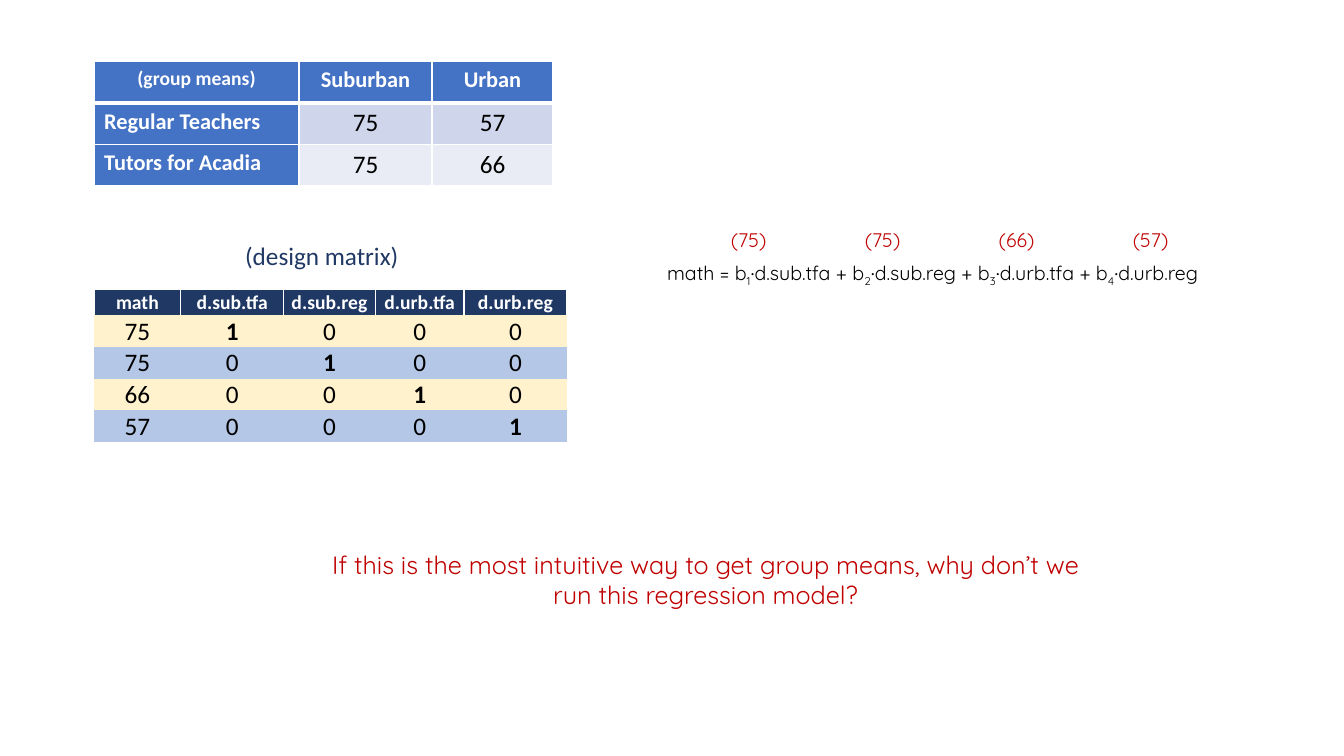
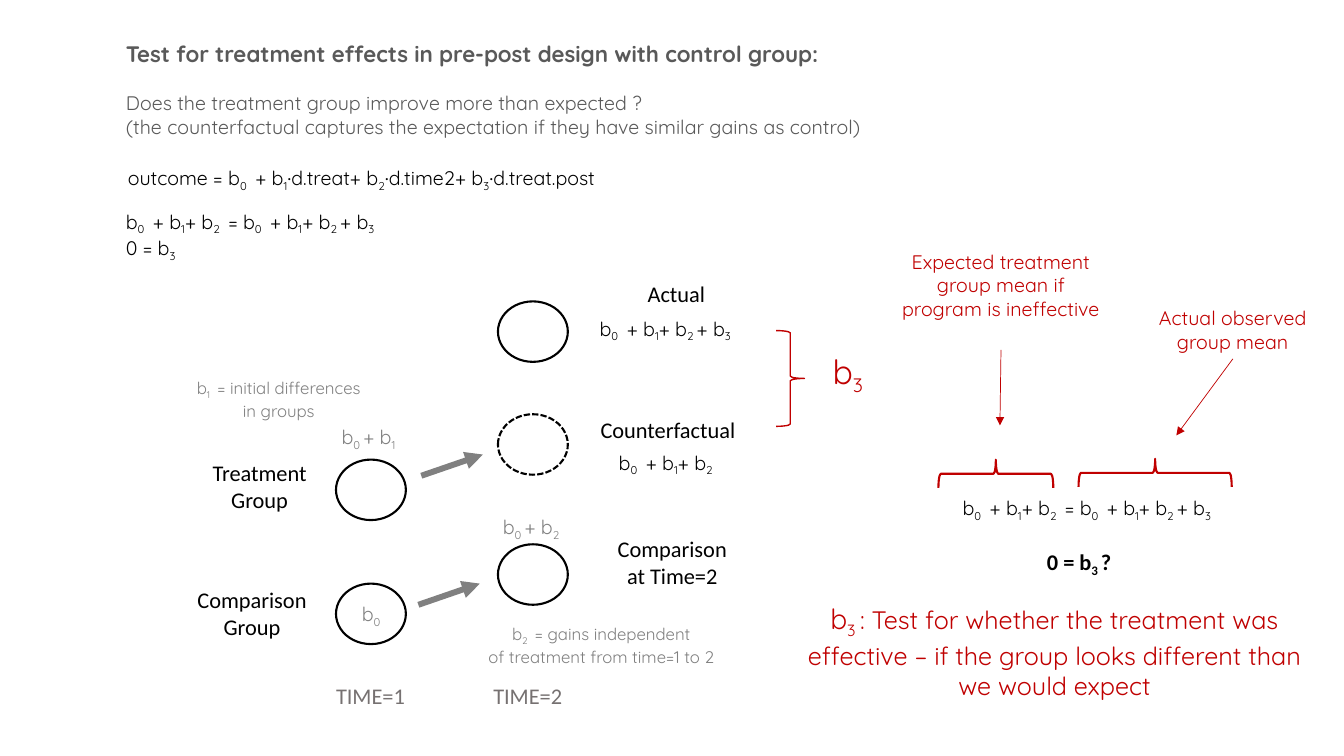
from lxml.etree import SubElement
from pptx import Presentation
from pptx.dml.color import RGBColor
from pptx.enum.dml import MSO_LINE
from pptx.enum.shapes import MSO_CONNECTOR, MSO_SHAPE
from pptx.enum.text import MSO_ANCHOR, MSO_AUTO_SIZE, PP_ALIGN
from pptx.oxml.ns import qn
from pptx.util import Inches, Pt

WIDTH, HEIGHT = Inches(13.333), Inches(7.5)
COLORS = {
    "ink": "000000", "white": "FFFFFF", "red": "C00000", "navy": "203864",
    "blue": "4472C4", "band_dark": "CFD5EA", "band_light": "E9EBF5",
    "cream": "FFF2CC", "sky": "B4C7E7", "heading": "595959",
    "gray": "808080", "time": "767171",
}
BODY, LABEL = "Quicksand", "Calibri"
CENTER, LEFT = PP_ALIGN.CENTER, PP_ALIGN.LEFT
PLAIN_TABLE = "{2D5ABB26-0587-4C30-8999-92F81FD0307C}"
LINE_H, LABEL_H = 4.53, 4.93  # heights of one line of text, in percent


def rgb(name):
    """Return the named colour."""
    return RGBColor.from_string(COLORS[name])


def across(share):
    """Turn a percentage of the slide's width into a length."""
    return round(WIDTH * share / 100)


def down(share):
    """Turn a percentage of the slide's height into a length."""
    return round(HEIGHT * share / 100)


def place(left, top, width, height):
    """Turn four percentages into left, top, width and height."""
    return across(left), down(top), across(width), down(height)


def add_runs(paragraph, text, size=14, font=BODY, color="ink", bold=False):
    """Add text in which [brackets] enclose subscripts."""
    for chunk in text.split("["):
        subscript, closed, normal = chunk.partition("]")
        parts = [(subscript, True), (normal, False)] if closed else [(chunk, False)]
        for words, lowered in parts:
            if not words:
                continue
            run = paragraph.add_run()
            run.text = words
            run.font.size, run.font.name, run.font.bold = Pt(size), font, bold
            run.font.color.rgb = rgb(color)
            if lowered:
                run.font._element.set("baseline", "-25000")


def write(frame, paragraphs, align=LEFT, **look):
    """Fill a text frame; a paragraph is a string or a list of (text, look)."""
    if isinstance(paragraphs, str):
        paragraphs = paragraphs.split("\n")
    for index, content in enumerate(paragraphs):
        paragraph = frame.add_paragraph() if index else frame.paragraphs[0]
        paragraph.alignment = align
        for words, changes in [(content, {})] if isinstance(content, str) else content:
            own = {**look, **changes}
            before = own.pop("before", 0)
            if before:
                paragraph.space_before = Pt(before)
            add_runs(paragraph, words, **own)


def add_text(slide, paragraphs, at, wrap=False, **look):
    """Add a text box that grows with its text."""
    frame = slide.shapes.add_textbox(*place(*at)).text_frame
    frame.word_wrap = wrap
    frame.auto_size = MSO_AUTO_SIZE.SHAPE_TO_FIT_TEXT
    write(frame, paragraphs, **look)


def add_label(slide, words, at, color="ink"):
    """Add a centred diagram label."""
    add_text(slide, words, at, size=16, font=LABEL, color=color, align=CENTER)


def add_outline(slide, kind, at, color="ink", weight=1.5, dash=None, rotation=0):
    """Add an unfilled preset shape."""
    outline = slide.shapes.add_shape(kind, *place(*at))
    outline.shadow.inherit = False
    outline.fill.background()
    outline.line.color.rgb = rgb(color)
    outline.line.width = Pt(weight)
    outline.rotation = rotation
    if dash:
        outline.line.dash_style = dash


def add_arrow(slide, start, end, color, weight):
    """Add a straight arrow between two points."""
    arrow = slide.shapes.add_connector(
        MSO_CONNECTOR.STRAIGHT, across(start[0]), down(start[1]),
        across(end[0]), down(end[1]))
    arrow.line.color.rgb = rgb(color)
    arrow.line.width = Pt(weight)
    SubElement(arrow.line._get_or_add_ln(), qn("a:tailEnd"), type="triangle")
    SubElement(arrow._element.spPr, qn("a:effectLst"))


def add_borders(cell, weights):
    """Draw white borders; weights maps a side (L, R, T, B) to points."""
    properties = cell._tc.get_or_add_tcPr()
    for side in "LRTB":
        if side in weights:
            border = SubElement(properties, qn(f"a:ln{side}"), w=str(Pt(weights[side])))
            fill = SubElement(border, qn("a:solidFill"))
            SubElement(fill, qn("a:srgbClr"), val=COLORS["white"])


def add_table(slide, rows, corner, widths, heights, style, tight=False):
    """Add a table; style(row, column) gives fill, borders and text look."""
    at = (*corner, sum(widths), sum(heights))
    table = slide.shapes.add_table(len(rows), len(widths), *place(*at)).table
    table._tbl.tblPr.find(qn("a:tableStyleId")).text = PLAIN_TABLE
    for column, width in zip(table.columns, widths):
        column.width = across(width)
    for r, (row, height) in enumerate(zip(rows, heights)):
        table.rows[r].height = down(height)
        for c, words in enumerate(row):
            cell = table.cell(r, c)
            look = style(r, c)
            add_borders(cell, look.pop("borders"))
            cell.fill.solid()
            cell.fill.fore_color.rgb = rgb(look.pop("fill"))
            if tight:
                cell.vertical_anchor = MSO_ANCHOR.BOTTOM
                cell.margin_left = cell.margin_right = cell.margin_top = Inches(0.01)
                cell.margin_bottom = 0
            write(cell.text_frame, words, font=LABEL, **look)


def group_means_style(r, c):
    """Style the group means: blue header row and column, banded body."""
    borders = dict(L=1, R=1, T=3 if r == 1 else 1, B=1 if r else 3)
    if r and c:
        return dict(fill="band_dark" if r == 1 else "band_light", borders=borders,
                    size=18, align=CENTER)
    return dict(fill="blue", borders=borders, size=16 if r or c else 14,
                color="white", bold=True, align=LEFT if r else CENTER)


def design_matrix_style(r, c):
    """Style the design matrix: navy header, striped rows, bold diagonal."""
    if r == 0:
        return dict(fill="navy", borders=dict(L=1, R=1, T=1), size=14,
                    color="white", bold=True, align=CENTER)
    return dict(fill="cream" if r % 2 else "sky", borders={}, size=18,
                bold=r == c, align=CENTER)


def build_group_means(slide):
    """Build the slide on group means and their design matrix."""
    groups = ["sub.tfa", "sub.reg", "urb.tfa", "urb.reg"]
    means = ["75", "75", "66", "57"]
    header = ["math"] + [f"d.{group}" for group in groups]
    dummies = [[mean] + ["1" if i == j else "0" for j in range(len(groups))]
               for i, mean in enumerate(means)]
    add_table(slide, [header] + dummies, (7, 38.27), [6.45, 7.65, 6.83, 6.6, 7.65],
              [3.4] + [4.13] * len(means), design_matrix_style, tight=True)
    terms = [f"b[{i}]∙d.{group}" for i, group in enumerate(groups, 1)]
    add_text(slide, "math = " + " + ".join(terms), (48.9, 33.87, 45.5, LINE_H))
    add_text(slide, "If this is the most intuitive way to get group means, "
             "why don’t we run this regression model?", (23.1, 72, 58.8, 9.47),
             wrap=True, size=18, color="red", align=CENTER)
    add_text(slide, "(design matrix)", (17.5, 31.07, 13.05, 5.33),
             size=18, font=LABEL, color="navy")
    for i, mean in enumerate(means):
        add_text(slide, f"({mean})", (52.5 + 9.97 * i, 29.5, 6.4, LINE_H),
                 wrap=True, color="red", align=CENTER)
    add_table(slide, [["(group means)", "Suburban", "Urban"],
                      ["Regular Teachers", "75", "57"],
                      ["Tutors for Acadia", "75", "66"]],
              (7, 8.13), [15.25, 9.9, 9], [5.47] * 3, group_means_style)


def build_treatment_test(slide):
    """Build the slide on testing treatment effects with a control group."""
    expected = "b[0 ] + b[1]+ b[2]"
    actual = "b[0 ] + b[1]+ b[2 ]+ b[3]"
    equation = f"b[0 ] + b[1]+ b[2 ] = {actual}"
    add_text(slide, [
        [("Test for treatment effects in pre-post design with control group:",
          dict(size=16, bold=True))],
        [("Does the treatment group improve more than expected ?", dict(before=17))],
        "(the counterfactual captures the expectation if they have similar gains as control)",
        [(equation, dict(before=51, color="ink"))],
        [("0 = b[3]", dict(color="ink"))],
    ], (8.63, 4.67, 59.7, 33.2), color="heading")
    add_text(slide, "outcome = b[0 ] + b[1]∙d.treat+ b[2]∙d.time2+ b[3]∙d.treat.post",
             (8.78, 21.33, 40.3, LINE_H))

    time1, time2 = 25, 37.05
    for left, top, dash in [(time1, 60.8, None), (time1, 77.2, None), (time2, 72, None),
                            (time2, 54.8, MSO_LINE.SQUARE_DOT), (time2, 39.87, None)]:
        add_outline(slide, MSO_SHAPE.OVAL, (left, top, 5.2, 8), dash=dash)
    add_text(slide, expected, (45.3, 58.93, 10, LINE_H))
    add_text(slide, actual, (43.88, 41.2, 12.83, LINE_H))
    add_text(slide, equation, (68.9, 64.93, 23.93, LINE_H), align=CENTER)
    add_text(slide, "0 = b[3 ]?", (68.33, 71.8, 23.93, LABEL_H),
             size=16, font=LABEL, bold=True, align=CENTER)

    for words, at in [("Comparison\nGroup", (13.88, 76.93, 9.75, 8.53)),
                      ("Treatment\nGroup", (15, 60.13, 8.63, 8.53)),
                      ("Counterfactual", (43.88, 54.4, 11.63, LABEL_H)),
                      ("Comparison\nat Time=2", (45.15, 70.13, 9.75, 8.53)),
                      ("Actual", (47.4, 36.4, 5.85, LABEL_H))]:
        add_label(slide, words, at)
    for words, left in [("TIME=1", 24.23), ("TIME=2", 35.93)]:
        add_label(slide, words, (left, 89.6, 6.68, LABEL_H), color="time")

    for start, end, color, weight in [
            ((31.13, 80), (35.7, 77.2), "gray", 4.25),
            ((31.35, 62.93), (35.93, 60.13), "gray", 4.25),
            ((74.48, 46.27), (74.4, 56.27), "red", 0.5),
            ((91.73, 47.47), (87.53, 57.6), "red", 0.5)]:
        add_arrow(slide, start, end, color, weight)
    for at, weight, rotation in [((57.75, 43.73, 2.1, 12.67), 1, 0),
                                 ((73.05, 55.07, 2.1, 15.2), 1.5, 270),
                                 ((84.9, 52.4, 2.1, 20.27), 1.5, 270)]:
        add_outline(slide, MSO_SHAPE.RIGHT_BRACE, at, "red", weight, rotation=rotation)

    conclusion = [("b[3 ]", dict(size=20)),
                  (": Test for whether the treatment was effective – if the group "
                   "looks different than we would expect", dict(size=18))]
    for words, at, size in [
            ("b[3]", (56.63, 45.73, 12.9, 6.67), 24),
            ([conclusion], (59.18, 78.93, 38.55, 13.87), 18),
            ("Expected treatment group mean if program is ineffective",
             (66.15, 32.4, 16.65, 13.87), 14),
            ("Actual observed group mean", (84, 39.87, 15.45, 7.6), 14)]:
        add_text(slide, words, at, wrap=True, size=size, color="red", align=CENTER)

    for words, at in [("b[0]", (26.18, 78.93, 3.08, LINE_H)),
                      ("b[0 ]+ b[1]", (24.68, 55.6, 6.15, LINE_H)),
                      ("b[0 ]+ b[2]", (36.68, 67.47, 6.75, LINE_H))]:
        add_text(slide, words, at, color="gray")
    for words, at in [
            ("b[2 ] = gains independent\nof treatment from time=1 to 2",
             (34.73, 81.87, 20.03, 6.67)),
            ("b[1 ] = initial differences\nin groups", (13.35, 49.33, 14.78, 6.67))]:
        add_text(slide, words, at, size=12, color="gray", align=CENTER)


def main():
    """Build both slides and save the presentation."""
    deck = Presentation()
    deck.slide_width, deck.slide_height = WIDTH, HEIGHT
    for build in (build_group_means, build_treatment_test):
        build(deck.slides.add_slide(deck.slide_layouts[6]))
    deck.save("out.pptx")


main()
